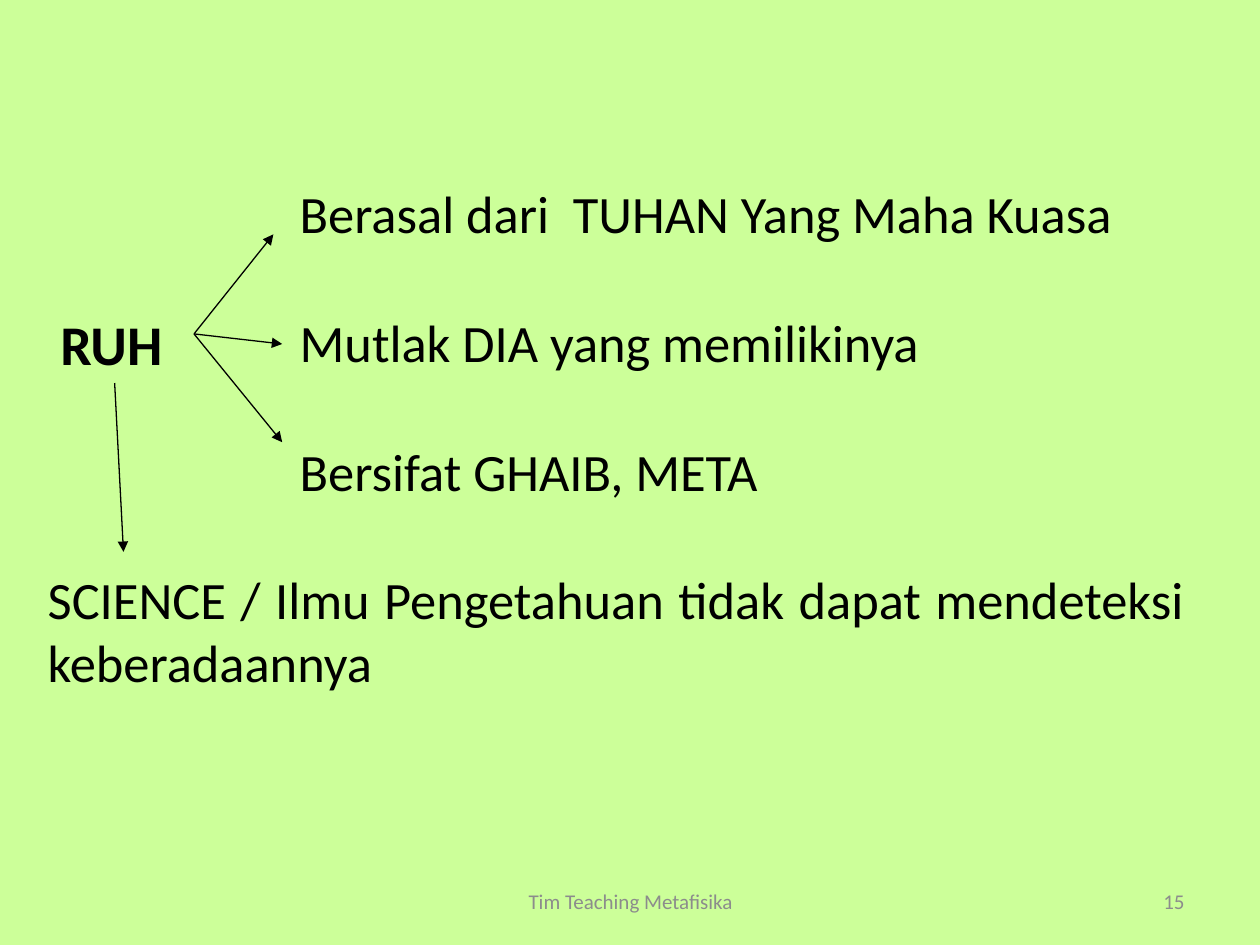
from pptx import Presentation
from pptx.dml.color import RGBColor
from pptx.enum.shapes import MSO_CONNECTOR
from pptx.enum.text import MSO_ANCHOR, PP_ALIGN
from pptx.oxml.ns import qn
from pptx.util import Inches, Pt
from lxml import etree

STRAIGHT = MSO_CONNECTOR.STRAIGHT
TOP, MIDDLE = MSO_ANCHOR.TOP, MSO_ANCHOR.MIDDLE
LEFT, CENTER, RIGHT, JUSTIFY = (
    PP_ALIGN.LEFT, PP_ALIGN.CENTER, PP_ALIGN.RIGHT, PP_ALIGN.JUSTIFY)

THEME = {
    "font": "Calibri",
    "background": RGBColor(0xCC, 0xFF, 0x99),
    "ink": RGBColor(0, 0, 0),
    "muted": RGBColor(0x8C, 0x8C, 0x8C),
    "body_size": Pt(30),
    "subject_size": Pt(32),
    "footer_size": Pt(12),
    "line_width": Pt(0.75),
    "row_gap": Pt(37.5),
}

SUBJECT = "RUH"
PROPERTIES = [
    "Berasal dari  TUHAN Yang Maha Kuasa",
    "Mutlak DIA yang memilikinya",
    "Bersifat GHAIB, META",
]
CONCLUSION = "SCIENCE / Ilmu Pengetahuan tidak dapat mendeteksi keberadaannya"
FOOTER = "Tim Teaching Metafisika"
PAGE_NUMBER = "15"

PROPERTY_INDENT = 2
SUBJECT_EXIT = (1.54, 2.65)
PROPERTY_ENDS = [(2.17, 1.86), (2.24, 2.73), (2.24, 3.51)]
CONCLUSION_ARROW = ((0.91, 3.04), (0.98, 4.38))


def add_text(slide, box, rows, size, color, align=LEFT, anchor=TOP, bold=False):
    """Write rows of (text, left indent in inches) as spaced paragraphs."""
    frame = slide.shapes.add_textbox(*map(Inches, box)).text_frame
    frame.word_wrap = True
    frame.vertical_anchor = anchor
    font_format = {"name": THEME["font"], "size": size, "bold": bold}
    for index, (text, indent) in enumerate(rows):
        paragraph = frame.paragraphs[0] if index == 0 else frame.add_paragraph()
        paragraph.alignment = align
        if index:
            paragraph.space_before = THEME["row_gap"]
        if indent:
            paragraph._p.get_or_add_pPr().set("marL", str(Inches(indent)))
        run = paragraph.add_run()
        run.text = text
        for attribute, value in font_format.items():
            setattr(run.font, attribute, value)
        run.font.color.rgb = color


def add_arrow(slide, start, end):
    arrow = slide.shapes.add_connector(STRAIGHT, *map(Inches, start + end))
    arrow.line.color.rgb = THEME["ink"]
    arrow.line.width = THEME["line_width"]
    etree.SubElement(arrow.line._get_or_add_ln(), qn("a:tailEnd"), type="triangle")
    etree.SubElement(arrow._element.spPr, qn("a:effectLst"))


def main():
    deck = Presentation()
    deck.slide_width, deck.slide_height = Inches(10), Inches(7.5)
    slide = deck.slides.add_slide(deck.slide_layouts[6])
    slide.background.fill.solid()
    slide.background.fill.fore_color.rgb = THEME["background"]

    footer_style = (THEME["footer_size"], THEME["muted"])
    add_text(slide, (3.42, 6.95, 3.17, 0.4), [(FOOTER, 0)],
             *footer_style, CENTER, MIDDLE)
    add_text(slide, (7.17, 6.95, 2.33, 0.4), [(PAGE_NUMBER, 0)],
             *footer_style, RIGHT, MIDDLE)

    statements = [(text, PROPERTY_INDENT) for text in PROPERTIES]
    statements.append((CONCLUSION, 0))
    add_text(slide, (0.28, 1.39, 9.22, 4.68), statements,
             THEME["body_size"], THEME["ink"], JUSTIFY)
    add_text(slide, (0.38, 2.41, 1.15, 0.63), [(SUBJECT, 0)],
             THEME["subject_size"], THEME["ink"], bold=True)

    for end in PROPERTY_ENDS:
        add_arrow(slide, SUBJECT_EXIT, end)
    add_arrow(slide, *CONCLUSION_ARROW)

    deck.save("out.pptx")


if __name__ == "__main__":
    main()
